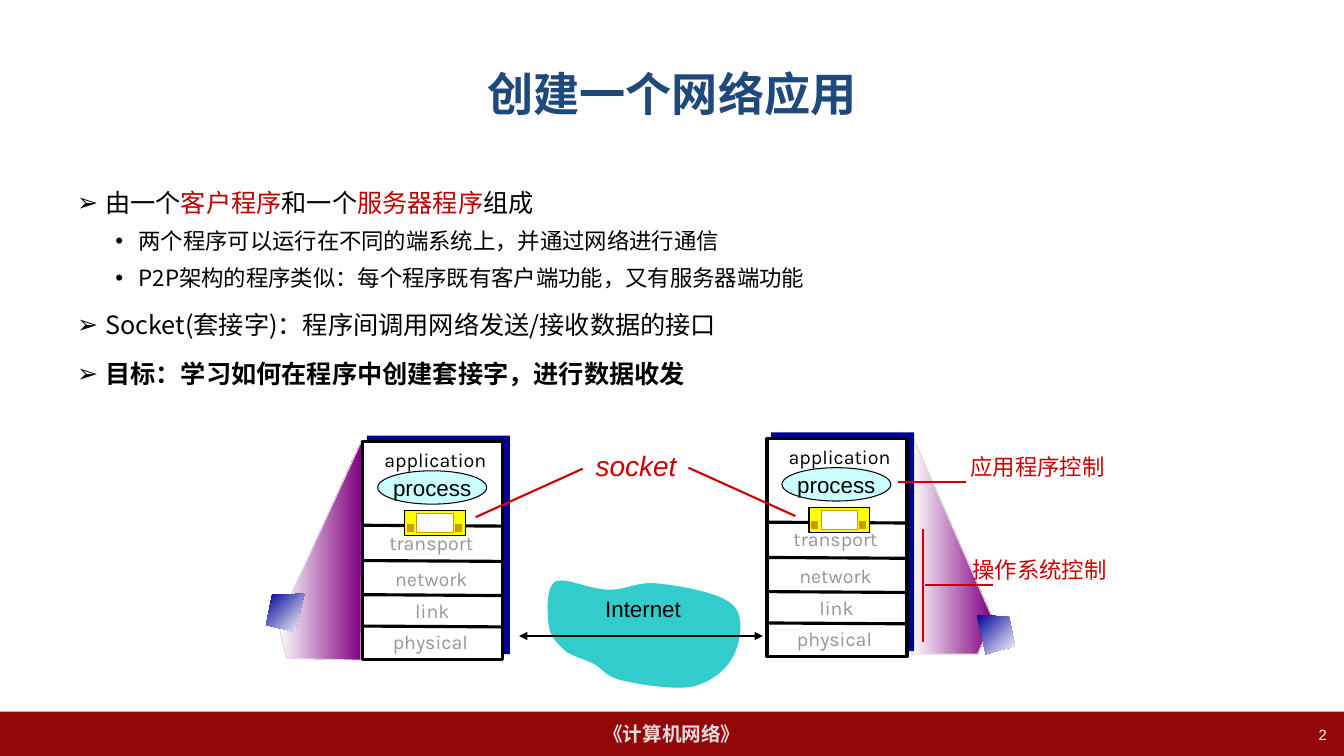
from lxml import etree
from pptx import Presentation
from pptx.dml.color import RGBColor
from pptx.enum.shapes import MSO_CONNECTOR as CONN, MSO_SHAPE as SHAPE
from pptx.enum.text import MSO_ANCHOR as ANCHOR, PP_ALIGN as ALIGN
from pptx.oxml.ns import qn
from pptx.util import Pt

CJK = "Noto Sans CJK SC"
RED, DARK_RED, BLACK, WHITE = "CC0000", "C00000", "000000", "FFFFFF"
NAVY, PURPLE, GREY, GOLD = "000099", "800080", "969696", "CC9900"

BULLETS = [
    (0, 18, False, [("由一个", BLACK), ("客户程序", DARK_RED), ("和一个", BLACK),
                    ("服务器程序", DARK_RED), ("组成", BLACK)]),
    (1, 16, False, [("两个程序可以运行在不同的端系统上，并通过网络进行通信", BLACK)]),
    (1, 16, False, [("P2P架构的程序类似：每个程序既有客户端功能，又有服务器端功能", BLACK)]),
    (0, 18, False, [("Socket(套接字)：程序间调用网络发送/接收数据的接口", BLACK)]),
    (0, 18, True, [("目标：学习如何在程序中创建套接字，进行数据收发", BLACK)]),
]
# bullet sign, left margin, hanging indent, space before as a share of the size
LEVELS = [("➢", 20.2, 20.2, 0.5), ("•", 43.9, 16.6, 0.2)]

# name, left and top inside the host, colour
LAYERS = [("application", 0, -0.7, BLACK), ("transport", -2.9, 58.3, GREY),
          ("network", -2.9, 84.2, GREY), ("link", -2.2, 107.3, GREY),
          ("physical", -3.6, 129.6, GREY)]
LAYER_BORDERS = [59.8, 85, 109.4, 131.8]

CLOUD_START = (391.7, 443.5)
CLOUD_CURVES = [
    [(391, 435.6), (390.2, 419), (396.7, 415.4)],
    [(403.9, 411.8), (421.2, 421.2), (434.2, 421.2)],
    [(446.4, 421.9), (455.8, 414.7), (470.9, 416.9)],
    [(485.3, 418.3), (514.8, 423.4), (523.4, 432)],
    [(532.1, 439.9), (529.2, 457.9), (524.2, 468)],
    [(519.8, 477.4), (509, 486.7), (495.4, 490.3)],
    [(482.4, 493.2), (456.5, 488.9), (444.2, 486)],
    [(432, 483.1), (430.6, 477.4), (423.4, 473.8)],
    [(416.2, 470.2), (407.5, 468.7), (402.5, 463.7)],
    [(396.7, 458.6), (391.7, 452.2), CLOUD_START],
]


def rgb(color):
    return RGBColor.from_string(color)


def add_run(p, text, size, color, font="Arial", bold=False, italic=False):
    r = p.add_run()
    r.text = text
    f = r.font
    f.size, f.bold, f.italic, f.name = Pt(size), bold, italic, font
    f.color.rgb = rgb(color)
    etree.SubElement(r.font._element, qn("a:ea"), typeface=CJK)


def set_line(s, color, width):
    if color:
        s.line.color.rgb = rgb(color)
        s.line.width = Pt(width)
    else:
        s.line.fill.background()


def place(s, x, y, w, h):
    s.left, s.top, s.width, s.height = Pt(x), Pt(y), Pt(w), Pt(h)


def add_box(sl, kind, x, y, w, h, fill, line=None, width=0.75):
    s = sl.shapes.add_shape(kind, Pt(x), Pt(y), Pt(w), Pt(h))
    s.shadow.inherit = False
    s.fill.solid()
    s.fill.fore_color.rgb = rgb(fill)
    set_line(s, line, width)
    return s


def center_text(s, text, size, color, bold=False):
    tf = s.text_frame
    tf.word_wrap, tf.vertical_anchor = False, ANCHOR.MIDDLE
    p = tf.paragraphs[0]
    p.alignment = ALIGN.CENTER
    add_run(p, text, size, color, bold=bold)


def add_label(sl, text, x, y, w, h, size, color, align=ALIGN.LEFT,
              spacing=1.0, wrap=False, **font):
    tf = sl.shapes.add_textbox(Pt(x), Pt(y), Pt(w), Pt(h)).text_frame
    tf.word_wrap = wrap
    p = tf.paragraphs[0]
    p.alignment, p.line_spacing = align, spacing
    add_run(p, text, size, color, **font)


def add_line(sl, x1, y1, x2, y2, color, width, arrows=False):
    c = sl.shapes.add_connector(CONN.STRAIGHT, Pt(x1), Pt(y1), Pt(x2), Pt(y2))
    set_line(c, color, width)
    if arrows:
        ln = c.line._get_or_add_ln()
        for end in ("a:headEnd", "a:tailEnd"):
            etree.SubElement(ln, qn(end), type="triangle")
    etree.SubElement(c._element.spPr, qn("a:effectLst"))


def add_outline(sl, points, line=None):
    pts = [(Pt(x), Pt(y)) for x, y in points]
    fb = sl.shapes.build_freeform(*pts[0])
    fb.add_line_segments(pts[1:], close=True)
    s = fb.convert_to_shape()
    s.shadow.inherit = False
    set_line(s, line, 0.75)
    return s


def set_gradient(s, start, end, clockwise):
    s.fill.gradient()
    s.fill.gradient_angle = -clockwise % 360
    for stop, color in zip(s.fill.gradient_stops, (start, end)):
        stop.color.rgb = rgb(color)


def curve_points(start, curves, steps=10):
    """Sample a chain of cubic Bézier curves."""
    points = [start]
    for b, c, d in curves:
        a = points[-1]
        for i in range(1, steps + 1):
            t = i / steps
            u = 1 - t
            points.append(tuple(
                u**3 * a[k] + 3 * u * u * t * b[k] + 3 * u * t * t * c[k] + t**3 * d[k]
                for k in (0, 1)))
    return points


def add_bullets(sl):
    tf = sl.shapes.add_textbox(Pt(48), Pt(126), Pt(864), Pt(356)).text_frame
    tf.word_wrap = True
    for i, (level, size, bold, runs) in enumerate(BULLETS):
        p = tf.add_paragraph() if i else tf.paragraphs[0]
        sign, margin, hang, before = LEVELS[level]
        p.level, p.line_spacing = level, 1.2
        p.space_before = Pt(size * before if i else 0)
        pPr = p._p.get_or_add_pPr()
        pPr.set("marL", str(Pt(margin)))
        pPr.set("indent", str(-Pt(hang)))
        etree.SubElement(pPr, qn("a:buFont"), typeface="Arial")
        etree.SubElement(pPr, qn("a:buChar"), char=sign)
        for text, color in runs:
            add_run(p, text, size, color, CJK, bold)


def add_socket(sl, x, y):
    add_box(sl, SHAPE.RECTANGLE, x, y, 43.2, 18, "FFFF00", BLACK)
    add_box(sl, SHAPE.RECTANGLE, x + 8.6, y + 2.3, 25.9, 13.7, WHITE, GOLD)
    for dx in (36, 1.6):
        add_box(sl, SHAPE.RECTANGLE, x + dx, y + 10.3, 4.3, 5, GOLD, GOLD)


def add_host(sl, x, y):
    add_box(sl, SHAPE.RECTANGLE, x + 2.9, y - 4.3, 102.2, 156.2, NAVY)
    add_box(sl, SHAPE.RECTANGLE, x, y, 100, 155.5, WHITE, BLACK, 2.25)
    for dy in LAYER_BORDERS:
        add_line(sl, x + 0.7, y + dy, x + 100, y + dy + 0.6, BLACK, 2.25)
    for name, dx, dy, color in LAYERS:
        add_label(sl, name, x + dx, y + dy, 103.7, 24.5, 14, color,
                  ALIGN.CENTER, 1.1, True, font="Karla")
    process = add_box(sl, SHAPE.OVAL, x + 10.6, y + 20.9, 77.8, 23.8, "CCFFFF", BLACK)
    center_text(process, "process", 16, BLACK)
    add_socket(sl, x + 30, y + 49.3)


def main():
    prs = Presentation()
    prs.slide_width, prs.slide_height = Pt(960), Pt(540)
    sl = prs.slides.add_slide(prs.slide_layouts[5])

    footer = add_box(sl, SHAPE.RECTANGLE, 0, 508.3, 960, 31.7, "940709")
    center_text(footer, "《计算机网络》", 14, "DDDDDD", True)
    place(sl.shapes.title, 48, 21.6, 864, 90)
    center_text(sl.shapes.title, "创建一个网络应用", 33, "1F497D", True)
    sl.shapes.title.text_frame.word_wrap = True
    add_bullets(sl)
    add_label(sl, "2", 730.8, 514.8, 223.9, 25.2, 10.5, WHITE, ALIGN.RIGHT, wrap=True)

    for beam in ([(709.2, 442.1), (650.9, 309.6), (651.6, 467.3), (698.4, 467.3)],
                 [(198.7, 445), (258.5, 314.6), (257.8, 471.6), (204.5, 470.2)]):
        set_gradient(add_outline(sl, beam, "DDDDDD"), WHITE, PURPLE, 0)

    cloud = add_outline(sl, curve_points(CLOUD_START, CLOUD_CURVES))
    cloud.fill.solid()
    cloud.fill.fore_color.rgb = rgb("33CCCC")
    add_label(sl, "Internet", 424.8, 421.9, 69.1, 26.6, 16, BLACK, ALIGN.CENTER)
    add_line(sl, 370.8, 454.3, 545, 454.3, BLACK, 0.75, arrows=True)

    add_host(sl, 259.2, 315.4)
    add_host(sl, 547.9, 313.2)

    add_label(sl, "操作系统控制", 687.6, 393.8, 111.6, 26.6, 16, RED)
    add_label(sl, "应用程序控制", 686.2, 322.6, 111.6, 24.5, 16, RED, spacing=0.9)
    add_label(sl, "socket", 418.3, 319.7, 78, 28.8, 20, RED, spacing=0.9, italic=True)
    for ends in ((689.8, 344.2, 641.5, 344.2), (659.5, 378, 659.5, 458.6),
                 (709.2, 417.6, 661, 417.6), (339.8, 369.4, 416.2, 334.8),
                 (568.1, 368.6, 491.8, 334.1)):
        add_line(sl, *ends, RED, 1.5)

    for device in ([(217.4, 424.1), (194.4, 424.8), (190.1, 446.4), (211, 451.4)],
                   [(697.7, 439.2), (720.7, 440.6), (725, 461.5), (704.2, 467.3)]):
        set_gradient(add_outline(sl, device), NAVY, WHITE, 45)

    prs.save("out.pptx")


if __name__ == "__main__":
    main()
